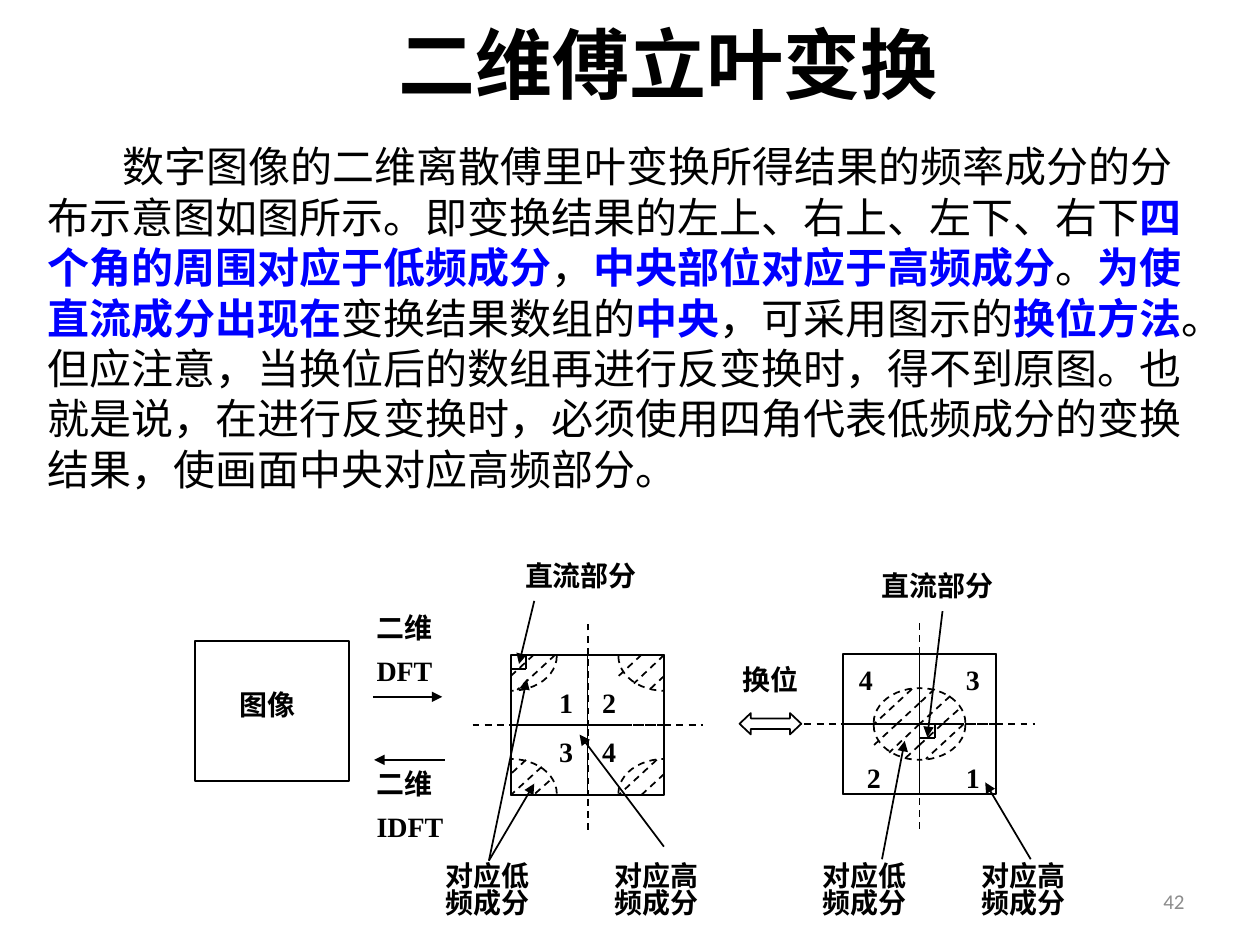
from math import cos, sin, pi
from lxml.etree import SubElement
from pptx import Presentation
from pptx.dml.color import RGBColor
from pptx.enum.dml import MSO_LINE
from pptx.enum.shapes import MSO_CONNECTOR, MSO_SHAPE
from pptx.enum.text import MSO_ANCHOR, PP_ALIGN
from pptx.oxml.ns import qn
from pptx.util import Pt

COLORS = {"ink": "000000", "key": "0000FF", "number": "8C8C8C"}
LEFT, CENTER, RIGHT = PP_ALIGN.LEFT, PP_ALIGN.CENTER, PP_ALIGN.RIGHT

# Content: body text as (words, is key point)
BODY = [
    ("数字图像的二维离散傅里叶变换所得结果的频率成分的分布示意图如图所示。"
     "即变换结果的左上、右上、左下、右下", False),
    ("四个角的周围对应于低频成分", True), ("，", False),
    ("中央部位对应于高频成分", True), ("。", False),
    ("为使直流成分出现在", True), ("变换结果数组的", False),
    ("中央", True), ("，可采用图示的", False), ("换位方法", True),
    ("。但应注意，当换位后的数组再进行反变换时，得不到原图。也就是说，在进行反变换时，"
     "必须使用四角代表低频成分的变换结果，使画面中央对应高频部分。", False),
]
LOW, HIGH, DC = "对应低频成分", "对应高频成分", "直流部分"

# Diagram labels: lines, (left, top, width, height), alignment, line spacing
LABELS = [
    ([LOW], (247.7, 491, 70.6, 38), LEFT, 0.8),
    ([HIGH], (344.2, 491, 64.8, 38), LEFT, 0.8),
    ([LOW], (463, 491, 64.8, 38), LEFT, 0.8),
    ([HIGH], (553.7, 491, 63.4, 38), LEFT, 0.8),
    ([DC], (293, 315.4, 88.6, 26.6), LEFT, None),
    ([DC], (496.8, 321.1, 82.8, 26.6), LEFT, None),
    (["图像"], (124.6, 389.5, 56.9, 26.6), CENTER, None),
    (["换位"], (411.8, 375.1, 56.9, 26.6), CENTER, None),
    (["二维", "DFT"], (208.1, 349.2, 60.5, 47.5), LEFT, 0.8),
    (["二维", "IDFT"], (208.1, 438.5, 65.5, 47.5), LEFT, 0.8),
    (["1\t2", "3\t4"], (312.5, 388.1, 48.2, 55.4), LEFT, None),
    (["4"], (477.4, 375.1, 34.6, 26.6), CENTER, None),
    (["3"], (538.6, 375.1, 34.6, 26.6), CENTER, None),
    (["2"], (481.7, 431.3, 35.3, 26.6), CENTER, None),
    (["1"], (538.6, 431.3, 34.6, 26.6), CENTER, None),
]
DIGIT_TAB = 24.5

# Arrows: start x, start y, end x, end y
ARROWS = [
    (213.1, 398.2, 252.7, 398.2), (254.2, 434.2, 213.8, 434.2),
    (305.3, 343.4, 296.6, 379.4), (279.4, 491.8, 301, 388.1),
    (279.4, 491.8, 305.3, 447.8), (379.4, 483.8, 331.2, 419.8),
    (504, 491, 517, 423.4), (589, 491, 563, 447.1),
    (538.6, 349.2, 529.9, 421.2),
]

# Spectrum panels: left, top, whether low frequencies sit in the middle
PANELS = [(292, 374.2, False), (481.7, 373.7, True)]
QUAD_W, QUAD_H = 43.8, 40
ARC_W, ARC_H, ARC_GAP, ARC_STEPS = 26.2, 19.8, 0.7, 12
AXIS_X, AXIS_Y = 22, 20
DC_W, DC_H = 8.6, 8

# Hatching of each quarter ellipse, from its centre, by direction of bulge
HATCH = {
    (1, 1): [(13, 0, 0, 12), (25.3, 0, 3.6, 20)],
    (-1, 1): [(-13, 0, -26, 12), (0, 0, -17.4, 16.4), (0, 12, -8.6, 20)],
    (1, -1): [(8.6, -20, 0, -12), (17.6, -16, 0, 0), (22, -8, 13, 0)],
    (-1, -1): [(0, -12, -13, 0), (-4.3, -20, -26, 0)],
}

deck = Presentation()
deck.slide_width, deck.slide_height = Pt(720), Pt(540)
page = deck.slides.add_slide(deck.slide_layouts[6])


def rgb(name):
    return RGBColor.from_string(COLORS[name])


def set_font(font, size, name, bold=False, color="ink"):
    font.size, font.name, font.bold = Pt(size), name, bold
    font.color.rgb = rgb(color)


def add_box(frame, anchor=MSO_ANCHOR.TOP):
    text = page.shapes.add_textbox(*map(Pt, frame)).text_frame
    text.word_wrap, text.vertical_anchor = True, anchor
    return text


def set_line(line, dashed):
    line.width = Pt(1)
    line.color.rgb = rgb("ink")
    if dashed:
        line.dash_style = MSO_LINE.DASH


def style_outline(shape, dashed=False):
    shape.shadow.inherit = False
    shape.fill.background()
    set_line(shape.line, dashed)


def add_outline(kind, x, y, width, height, dashed=False):
    shape = page.shapes.add_shape(kind, Pt(x), Pt(y), Pt(width), Pt(height))
    style_outline(shape, dashed)
    return shape


def add_line(x1, y1, x2, y2, dashed=False, arrow=False):
    line = page.shapes.add_connector(
        MSO_CONNECTOR.STRAIGHT, Pt(x1), Pt(y1), Pt(x2), Pt(y2))
    set_line(line.line, dashed)
    props = line._element.spPr
    if arrow:
        SubElement(props.find(qn("a:ln")), qn("a:tailEnd"), type="triangle")
    SubElement(props, qn("a:effectLst"))


def add_quarter(x, y, sx, sy):
    """Hatched quarter ellipse bulging from (x, y) towards (sx, sy)."""
    angles = [pi / 2 * step / ARC_STEPS for step in range(ARC_STEPS + 1)]
    points = [(Pt(x + sx * ARC_W * cos(a)),
               Pt(y + sy * (ARC_GAP + ARC_H * sin(a)))) for a in angles]
    arc = page.shapes.build_freeform(*points[0])
    arc.add_line_segments(points[1:], close=False)
    style_outline(arc.convert_to_shape(), dashed=True)
    for x1, y1, x2, y2 in HATCH[sx, sy]:
        add_line(x + x1, y + y1, x + x2, y + y2, dashed=True)


def add_panel(left, top, centred):
    mid_x, mid_y = left + QUAD_W, top + QUAD_H
    right, bottom = mid_x + QUAD_W, mid_y + QUAD_H
    rect = MSO_SHAPE.RECTANGLE
    for x in (left, mid_x):
        for y in (top, mid_y):
            add_outline(rect, x, y, QUAD_W, QUAD_H, dashed=True)
    for sx, sy in HATCH:
        x, y = (mid_x, mid_y) if centred else (mid_x - sx * QUAD_W, mid_y - sy * QUAD_H)
        add_quarter(x, y, sx, sy)
    # Axes outside the panel
    add_line(left - AXIS_X, mid_y, left, mid_y, dashed=True)
    add_line(right, mid_y, right + AXIS_X, mid_y, dashed=True)
    add_line(mid_x, top, mid_x, top - AXIS_Y, dashed=True)
    add_line(mid_x, bottom + AXIS_Y, mid_x, bottom, dashed=True)
    add_outline(rect, left, top, 2 * QUAD_W, 2 * QUAD_H)
    # Corner cell of the direct component
    x, y = (mid_x, mid_y) if centred else (left, top)
    add_line(x + DC_W, y, x + DC_W, y + DC_H)
    add_line(x, y + DC_H, x + DC_W, y + DC_H)


# Title and page number
for words, frame, align, style in [
    ("42", (516.2, 500.4, 167.8, 28.8), RIGHT, (12, "Calibri", False, "number")),
    ("二维傅立叶变换", (216, 0, 331.9, 71.3), CENTER, (44, "Arial", True)),
]:
    para = add_box(frame, MSO_ANCHOR.MIDDLE).paragraphs[0]
    para.text, para.alignment = words, align
    set_font(para.font, *style)

# Body text with indented first line
para = add_box((20.2, 77, 680.4, 211)).paragraphs[0]
para._p.get_or_add_pPr().set("indent", str(Pt(42.5)))
for words, is_key in BODY:
    span = para.add_run()
    span.text = words
    set_font(span.font, 24, "Arial", is_key, "key" if is_key else "ink")

# Diagram: source image, swap arrow, panels
add_outline(MSO_SHAPE.RECTANGLE, 111.6, 366.5, 87.8, 80)
swap = add_outline(MSO_SHAPE.LEFT_RIGHT_ARROW, 422.6, 407.5, 35.3, 12.2)
swap.adjustments[0], swap.adjustments[1] = 0.5, 0.53
for panel in PANELS:
    add_panel(*panel)

# Diagram labels and arrows
for lines, frame, align, spacing in LABELS:
    text = add_box(frame)
    for index, words in enumerate(lines):
        para = text.add_paragraph() if index else text.paragraphs[0]
        para.text, para.alignment = words, align
        if spacing:
            para.line_spacing = spacing
        if index:
            para.space_before = Pt(9)
        if "\t" in words:
            tabs = SubElement(para._p.get_or_add_pPr(), qn("a:tabLst"))
            SubElement(tabs, qn("a:tab"), pos=str(Pt(DIGIT_TAB)), algn="l")
        set_font(para.font, 16, "Times New Roman", True)
for arrow in ARROWS:
    add_line(*arrow, arrow=True)

deck.save("out.pptx")
